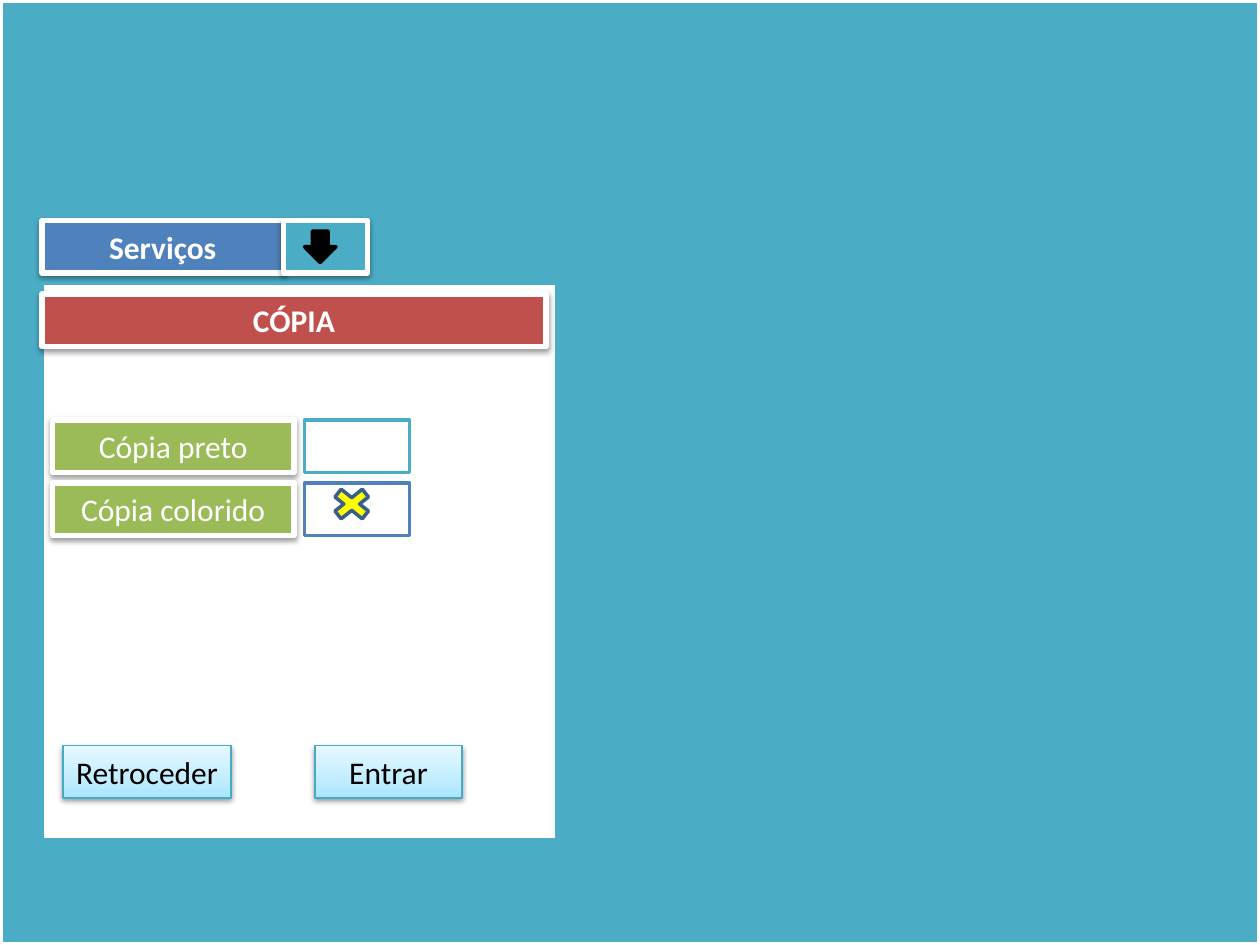
from lxml import etree
from pptx import Presentation
from pptx import util as u
from pptx.dml.color import RGBColor
from pptx.enum import shapes, text
from pptx.oxml import parse_xml
from pptx.oxml.ns import nsdecls, qn

KIND = shapes.MSO_SHAPE
WHITE, BLACK, TEAL, BLUE = "FFFFFF", "000000", "4BACC6", "4F81BD"
RED, GREEN, YELLOW, NAVY = "C0504D", "9BBB59", "FFFF00", "3A5F8C"
BUTTON_EDGE = "46AAC5"
BUTTON_STOPS = ((0, "A7E6FF"), (35, "C1EDFF"), (100, "E7F8FF"))
ROW = 5  # height of a bar, in grid steps


def grid(steps):
    """The screen is laid out on twelve steps to the inch."""
    return u.Cm(steps * 2.54 / 12)


def colour(value):
    return RGBColor.from_string(value)


def set_values(target, values):
    for name, value in values.items():
        setattr(target, name, value)


def add_shadow(shape):
    effects = shape._element.spPr.find(qn("a:effectLst"))
    outer = etree.SubElement(effects, qn("a:outerShdw"), blurRad="40000",
                             dist="20000", dir="5400000", rotWithShape="0")
    shade = etree.SubElement(outer, qn("a:srgbClr"), val=BLACK)
    etree.SubElement(shade, qn("a:alpha"), val="38000")


def add_box(page, kind, place, fill, line, width, shadow=False):
    box = page.shapes.add_shape(kind, *map(grid, place))
    box.fill.solid()
    box.fill.fore_color.rgb = colour(fill)
    box.line.color.rgb = colour(line)
    box.line.width = u.Pt(width)
    box.shadow.inherit = False
    if shadow:
        add_shadow(box)
    return box


def write_label(box, words, ink, bold=False):
    set_values(box.text_frame, {"word_wrap": True,
                                "vertical_anchor": text.MSO_ANCHOR.MIDDLE})
    para = box.text_frame.paragraphs[0]
    para.alignment = text.PP_ALIGN.CENTER
    span = para.add_run()
    span.text = words
    set_values(span.font, {"name": "Calibri", "size": u.Pt(18), "bold": bold})
    span.font.color.rgb = colour(ink)


def add_bar(page, words, place, fill, bold=False):
    bar = add_box(page, KIND.FLOWCHART_PROCESS, place, fill, WHITE, 3, True)
    write_label(bar, words, WHITE, bold)


def add_button(page, words, left, width):
    button = add_box(page, KIND.RECTANGLE, (left, 71, width, ROW),
                     WHITE, BUTTON_EDGE, 0.75, True)
    stops = "".join(f'<a:gs pos="{position * 1000}"><a:srgbClr val="{value}"/></a:gs>'
                    for position, value in BUTTON_STOPS)
    gradient = parse_xml(f'<a:gradFill {nsdecls("a")} rotWithShape="1"><a:gsLst>{stops}'
                         '</a:gsLst><a:lin ang="16200000" scaled="0"/></a:gradFill>')
    properties = button._element.spPr
    properties.replace(properties.find(qn("a:solidFill")), gradient)
    write_label(button, words, BLACK)


def main():
    deck = Presentation()
    set_values(deck, {"slide_width": u.Cm(25.4), "slide_height": u.Cm(19.05)})
    page = deck.slides.add_slide(deck.slide_layouts[6])

    # Background
    add_box(page, KIND.RECTANGLE, (0, 0, 120, 90), TEAL, WHITE, 3, True)

    # Drop-down for services
    add_bar(page, "Serviços", (4, 21, 23, ROW), BLUE, True)
    add_box(page, KIND.RECTANGLE, (27, 21, 8, ROW), TEAL, WHITE, 3, True)
    add_box(page, KIND.DOWN_ARROW, (29, 22, 3, 3), BLACK, BLACK, 2)

    # Panel and its heading
    add_box(page, KIND.RECTANGLE, (4, 27, 49, 53), WHITE, TEAL, 2)
    add_bar(page, "CÓPIA", (4, 28, 48, ROW), RED, True)

    # Options with tick boxes
    options = (("Cópia preto", TEAL), ("Cópia colorido", BLUE))
    for index, (words, edge) in enumerate(options):
        top = 40 + 6 * index
        add_bar(page, words, (5, top, 23, ROW), GREEN)
        add_box(page, KIND.RECTANGLE, (29, top, 10, ROW), WHITE, edge, 2)

    # Buttons
    add_button(page, "Retroceder", 6, 16)
    add_button(page, "Entrar", 30, 14)

    # Mark on the chosen option
    add_box(page, KIND.MATH_MULTIPLY, (31, 46, 5, 4), YELLOW, NAVY, 2)

    deck.save("out.pptx")


if __name__ == "__main__":
    main()
